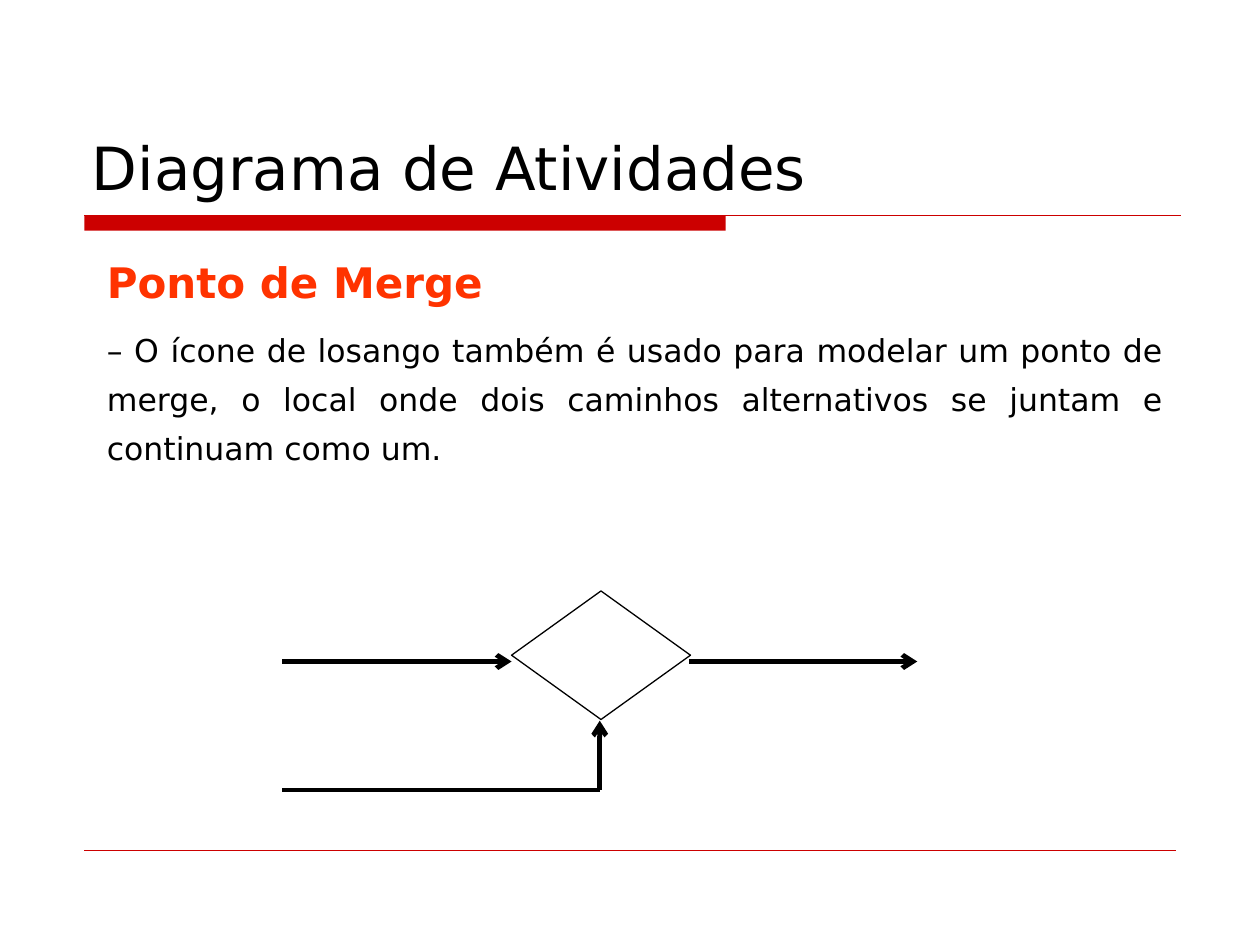
from lxml import etree
from pptx import Presentation
from pptx.dml.color import RGBColor
from pptx.enum.shapes import MSO_CONNECTOR, MSO_SHAPE
from pptx.enum.text import MSO_ANCHOR, PP_ALIGN
from pptx.oxml.ns import qn
from pptx.util import Inches, Pt

BLACK = RGBColor(0x00, 0x00, 0x00)
WHITE = RGBColor(0xFF, 0xFF, 0xFF)
RED = RGBColor(0xCC, 0x00, 0x00)
ORANGE = RGBColor(0xFF, 0x33, 0x00)
STRAIGHT = MSO_CONNECTOR.STRAIGHT
RECTANGLE, DIAMOND = MSO_SHAPE.RECTANGLE, MSO_SHAPE.DIAMOND
LEFT, JUSTIFY = PP_ALIGN.LEFT, PP_ALIGN.JUSTIFY
TOP, BOTTOM = MSO_ANCHOR.TOP, MSO_ANCHOR.BOTTOM


class SlideBuilder:
    font = "DejaVu Sans"

    def __init__(self, slide):
        self.s = slide

    def set_text(self, sp, text, size, color, bold=False, anchor=TOP, **para):
        tf = sp.text_frame
        tf.word_wrap = True
        tf.vertical_anchor = anchor
        p = tf.paragraphs[0]
        for name, value in para.items():
            setattr(p, name, value)
        r = p.add_run()
        r.text = text
        for name, value in {"name": self.font, "size": Pt(size), "bold": bold}.items():
            setattr(r.font, name, value)
        r.font.color.rgb = color

    def title(self, box, text, size):
        sp = self.s.shapes.title
        sp.left, sp.top, sp.width, sp.height = map(Inches, box)
        self.set_text(sp, text, size, BLACK, anchor=BOTTOM, alignment=LEFT)

    def text(self, box, text, size, color, **style):
        sp = self.s.shapes.add_textbox(*map(Inches, box))
        self.set_text(sp, text, size, color, alignment=JUSTIFY, **style)

    def shape(self, kind, box, fill, line=None):
        sp = self.s.shapes.add_shape(kind, *map(Inches, box))
        sp.shadow.inherit = False
        sp.fill.solid()
        sp.fill.fore_color.rgb = fill
        if line is None:
            sp.line.fill.background()
        else:
            sp.line.color.rgb = line
            sp.line.width = Pt(0.75)

    def line(self, start, end, color=BLACK, width=2.75, arrow=False):
        c = self.s.shapes.add_connector(STRAIGHT, *map(Inches, (*start, *end)))
        c.line.color.rgb = color
        c.line.width = Pt(width)
        spPr = c.element.spPr
        if arrow:
            etree.SubElement(spPr.find(qn("a:ln")), qn("a:tailEnd"), type="arrow")
        etree.SubElement(spPr, qn("a:effectLst"))


def main():
    prs = Presentation()
    prs.slide_width, prs.slide_height = Inches(10), Inches(7.5)
    b = SlideBuilder(prs.slides.add_slide(prs.slide_layouts[5]))

    b.shape(RECTANGLE, (0.67, 1.71, 5.09, 0.12), RED)
    b.line((0.67, 1.71), (9.37, 1.71), RED, 0.75)
    b.line((0.67, 6.75), (9.33, 6.75), RED, 0.25)

    b.title((0.63, 0.33, 8.75, 1.33), "Diagrama de Atividades", 34)
    b.text((0.75, 1.91, 8.5, 0.58), "Ponto de Merge", 24, ORANGE,
           bold=True, line_spacing=1.2, space_after=Pt(6))
    b.text((0.75, 2.49, 8.58, 1.27),
           "– O ícone de losango também é usado para modelar um ponto de merge, "
           "o local onde dois caminhos alternativos se juntam e continuam como um.",
           18, BLACK, line_spacing=1.3, space_before=Pt(6.8))

    start_x, merge_x, flow_y, lower_y = 2.24, 4.76, 5.25, 6.27
    b.shape(DIAMOND, (4.06, 4.69, 1.42, 1.02), WHITE, BLACK)
    b.line((start_x, flow_y), (4.06, flow_y), arrow=True)
    b.line((merge_x, lower_y), (merge_x, 5.72), arrow=True)
    b.line((merge_x, lower_y), (start_x, lower_y))
    b.line((5.47, flow_y), (7.28, flow_y), arrow=True)

    prs.save("out.pptx")


if __name__ == "__main__":
    main()
